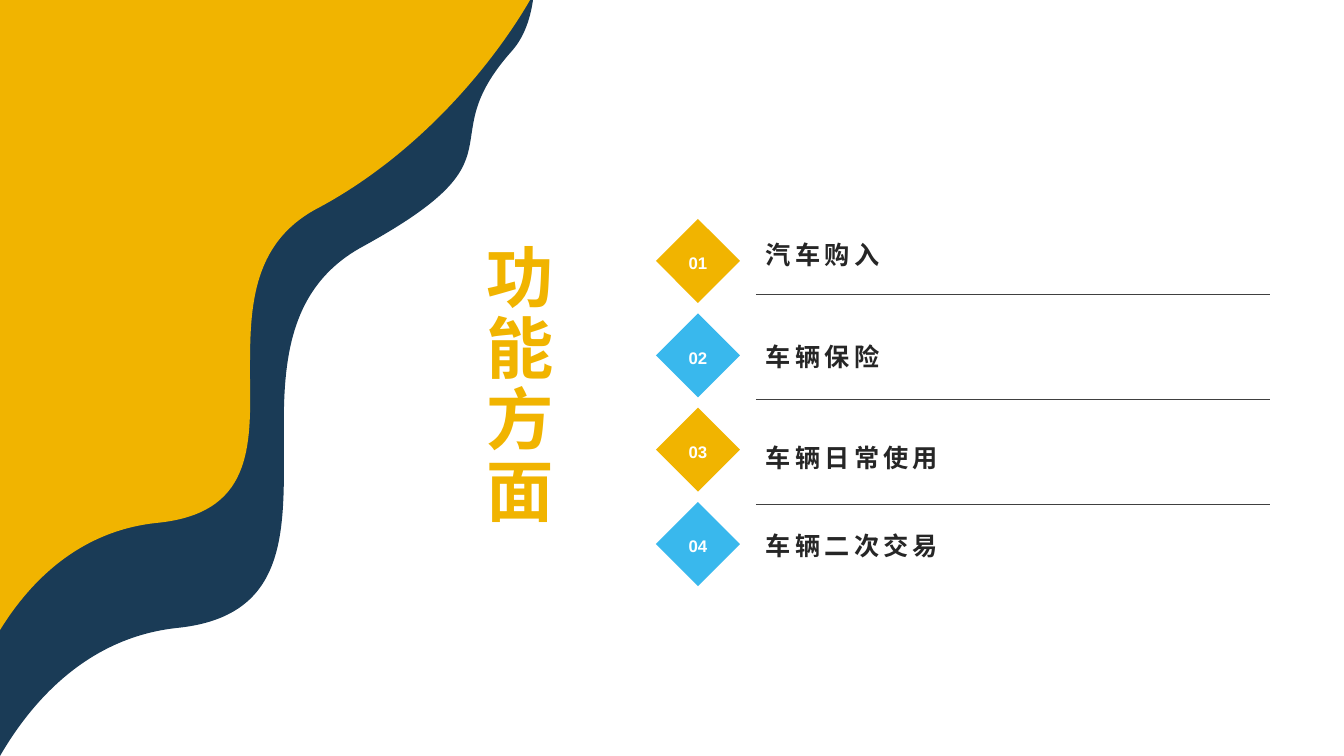
from lxml import etree
from pptx import Presentation
from pptx.dml.color import RGBColor
from pptx.enum.shapes import MSO_CONNECTOR, MSO_SHAPE
from pptx.enum.text import MSO_ANCHOR, MSO_AUTO_SIZE, PP_ALIGN
from pptx.oxml.ns import qn
from pptx.util import Pt

PX = 914400 / 100.8
PAGE_WIDTH, PAGE_HEIGHT = 1344, 756
TITLE_ONLY = 5
DIAMOND, STRAIGHT = MSO_SHAPE.DIAMOND, MSO_CONNECTOR.STRAIGHT
LEFT, CENTER, MIDDLE = PP_ALIGN.LEFT, PP_ALIGN.CENTER, MSO_ANCHOR.MIDDLE
NO_AUTOFIT = MSO_AUTO_SIZE.NONE

NAVY = RGBColor(0x1A, 0x3B, 0x56)
GOLD = RGBColor(0xF1, 0xB4, 0x00)
SKY = RGBColor(0x39, 0xB8, 0xED)
INK = RGBColor(0x26, 0x26, 0x26)
RULE = RGBColor(0x40, 0x40, 0x40)
WHITE = RGBColor(0xFF, 0xFF, 0xFF)

NAVY_WAVE = [
    ((36, 694), (93, 637), (177, 628)),
    ((285, 617), (284, 537), (284, 452)),
    ((283, 375), (282, 291), (362, 247)),
    ((530, 155), (429, 145), (511, 52)),
    ((523, 39), (530, 21), (533, 0)),
]
GOLD_WAVE = [
    ((32, 578), (82, 531), (156, 523)),
    ((252, 514), (251, 448), (250, 377)),
    ((250, 312), (249, 243), (320, 207)),
    ((427, 149), (499, 54), (530, 0)),
]
ITEMS = [
    ("汽车购入", 223, 51),
    ("车辆保险", 323, 55),
    ("车辆日常使用", 424, 56),
    ("车辆二次交易", 513, 54),
]


def px(*lengths):
    """Turn pixel lengths into EMU."""
    return [round(length * PX) for length in lengths]


def write_text(shape, text, size, color, align=LEFT, spacing=0):
    """Put one bold, vertically centred paragraph into a shape."""
    frame = shape.text_frame
    frame.word_wrap = True
    frame.auto_size = NO_AUTOFIT
    frame.vertical_anchor = MIDDLE
    paragraph = frame.paragraphs[0]
    paragraph.alignment = align
    paragraph.line_spacing = 1.2
    run = paragraph.add_run()
    run.text = text
    run.font.name = "Arial"
    run.font.size = Pt(size)
    run.font.bold = True
    run.font.color.rgb = color
    if spacing:
        run.font._element.set("spc", str(spacing * 100))


def paint(shape, color):
    """Give a shape a plain fill without outline or shadow."""
    shape.shadow.inherit = False
    shape.fill.solid()
    shape.fill.fore_color.rgb = color
    shape.line.fill.background()


def add_wave(slide, height, curves, color):
    """Fill the top left corner up to a chain of Bezier curves."""
    builder = slide.shapes.build_freeform(0, height, scale=PX)
    builder.add_line_segments([curve[-1] for curve in curves] + [(0, 0)], close=True)
    shape = builder.convert_to_shape()
    segments = list(shape._element.iter(qn("a:lnTo")))
    for segment, curve in zip(segments, curves):
        segment.tag = qn("a:cubicBezTo")
        segment.remove(segment[0])
        for x, y in curve:
            etree.SubElement(segment, qn("a:pt"), x=str(x), y=str(y))
    paint(shape, color)


def add_title(slide, left, top, width, height):
    """Place the vertical title."""
    title = slide.shapes.title
    title.left, title.top, title.width, title.height = px(left, top, width, height)
    write_text(title, "功能方面", 48, GOLD, align=CENTER, spacing=3)
    title.text_frame._txBody.bodyPr.set("vert", "eaVert")


def add_diamonds(slide, left, top, size, span):
    """Stack the numbered diamonds at equal steps over the span."""
    step = (span - size) / (len(ITEMS) - 1)
    for index in range(len(ITEMS)):
        box = px(left, top + index * step, size, size)
        diamond = slide.shapes.add_shape(DIAMOND, *box)
        paint(diamond, SKY if index % 2 else GOLD)
        write_text(diamond, f"{index + 1:02}", 12, WHITE, align=CENTER)


def add_items(slide, left, width):
    """Write the item labels."""
    for label, top, height in ITEMS:
        box = slide.shapes.add_textbox(*px(left, top, width, height))
        write_text(box, label, 18, INK, spacing=3)
        frame = box.text_frame
        frame.margin_left, frame.margin_top, frame.margin_bottom = px(10, 5, 0)


def add_rules(slide, left, top, width, step):
    """Draw the lines between the items."""
    for index in range(len(ITEMS) - 1):
        y = top + index * step
        rule = slide.shapes.add_connector(STRAIGHT, *px(left, y, left + width, y))
        rule.line.color.rgb = RULE
        rule.line.width = Pt(0.25)
        etree.SubElement(rule._element.spPr, qn("a:effectLst"))


def build_section_slide(presentation):
    """Build the section slide with its waves, title and list."""
    slide = presentation.slides.add_slide(presentation.slide_layouts[TITLE_ONLY])
    add_wave(slide, PAGE_HEIGHT, NAVY_WAVE, NAVY)
    add_wave(slide, 630, GOLD_WAVE, GOLD)
    add_items(slide, 756, 513)
    add_rules(slide, 756, 294, 514, 105)
    add_diamonds(slide, 656, 219, 84, 367)
    add_title(slide, 442, 238, 168, 330)


def main():
    """Create and save the presentation."""
    presentation = Presentation()
    presentation.slide_width, presentation.slide_height = px(PAGE_WIDTH, PAGE_HEIGHT)
    build_section_slide(presentation)
    presentation.save("out.pptx")


if __name__ == "__main__":
    main()
